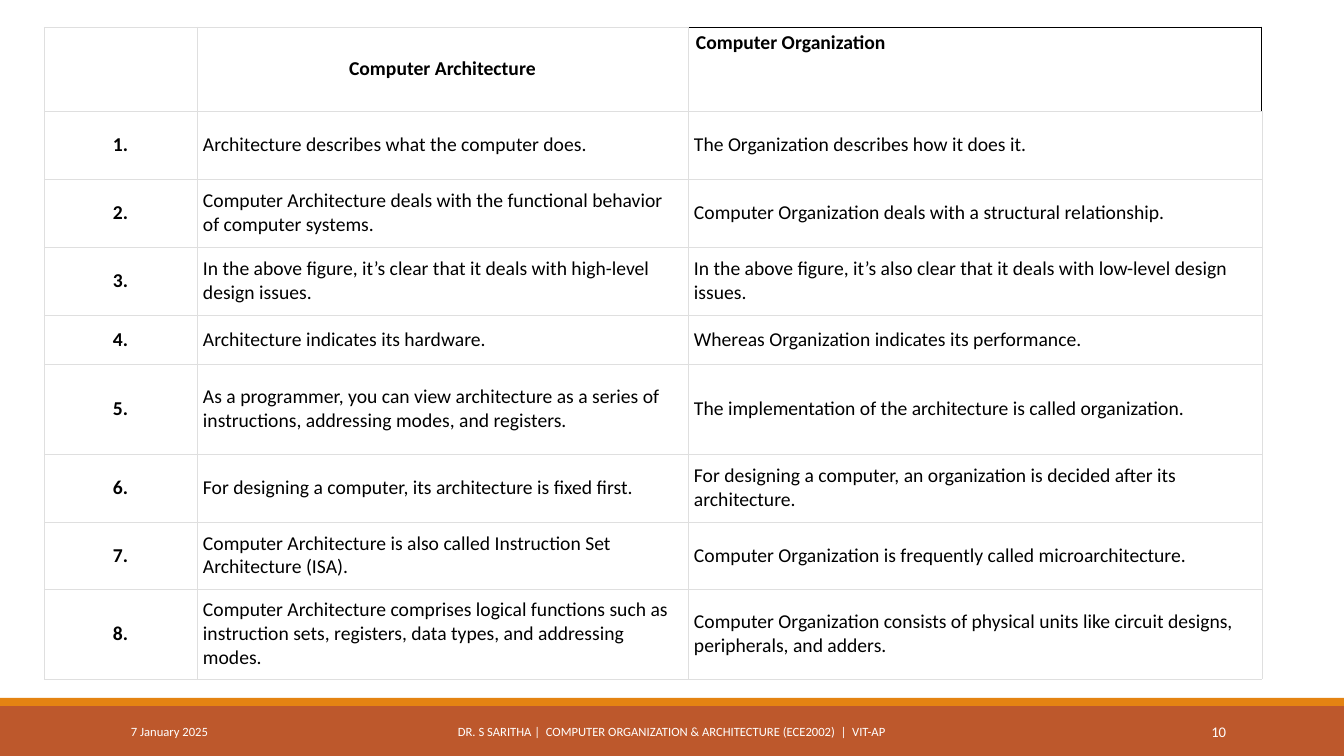
from dataclasses import dataclass

from lxml import etree
from pptx import Presentation
from pptx.dml.color import RGBColor
from pptx.enum.shapes import MSO_SHAPE
from pptx.enum.text import MSO_ANCHOR, PP_ALIGN
from pptx.oxml.ns import qn
from pptx.util import Emu, Pt

RECT = MSO_SHAPE.RECTANGLE
TOP, MIDDLE = MSO_ANCHOR.TOP, MSO_ANCHOR.MIDDLE
LEFT, CENTER, RIGHT = PP_ALIGN.LEFT, PP_ALIGN.CENTER, PP_ALIGN.RIGHT

BLACK = RGBColor(0x00, 0x00, 0x00)
WHITE = RGBColor(0xFF, 0xFF, 0xFF)
GRAY = RGBColor(0xDF, 0xDF, 0xDF)
RUST = RGBColor(0xBD, 0x58, 0x2C)
ORANGE = RGBColor(0xE4, 0x83, 0x12)
FONT = "Calibri"


def px(count: int) -> Emu:
    return Emu(round(count * 914400 / 100.8))


@dataclass
class Band:
    top: int
    height: int
    color: RGBColor


@dataclass
class Label:
    text: str
    left: int
    width: int
    size: float
    align: PP_ALIGN


@dataclass
class Style:
    bold: bool
    align: PP_ALIGN
    anchor: MSO_ANCHOR
    side: int
    edge: int


BANDS = [Band(706, 50, RUST), Band(698, 8, ORANGE)]
LABELS = [
    Label("7 January 2025", 121, 272, 9, LEFT),
    Label("DR. S SARITHA |  COMPUTER ORGANIZATION & ARCHITECTURE (ECE2002)  |  VIT-AP",
          406, 531, 9, CENTER),
    Label("10", 1092, 144, 10.5, RIGHT),
]

HEAD = Style(True, CENTER, MIDDLE, 6, 6)
CORNER = Style(True, LEFT, TOP, 8, 4)
NUMBER = Style(True, CENTER, MIDDLE, 3, 6)
BODY = Style(False, LEFT, MIDDLE, 6, 9)

WIDTHS = [153, 491, 574]
HEIGHTS = [84, 68, 68, 68, 49, 90, 68, 67, 90]
TITLES = ["", "Computer Architecture", "Computer Organization"]
PAIRS = [
    ("Architecture describes what the computer does.",
     "The Organization describes how it does it."),
    ("Computer Architecture deals with the functional behavior of computer systems.",
     "Computer Organization deals with a structural relationship."),
    ("In the above figure, it’s clear that it deals with high-level design issues.",
     "In the above figure, it’s also clear that it deals with low-level design issues."),
    ("Architecture indicates its hardware.",
     "Whereas Organization indicates its performance."),
    ("As a programmer, you can view architecture as a series of instructions, "
     "addressing modes, and registers.",
     "The implementation of the architecture is called organization."),
    ("For designing a computer, its architecture is fixed first.",
     "For designing a computer, an organization is decided after its architecture."),
    ("Computer Architecture is also called Instruction Set Architecture (ISA).",
     "Computer Organization is frequently called microarchitecture."),
    ("Computer Architecture comprises logical functions such as instruction sets, "
     "registers, data types, and addressing modes.",
     "Computer Organization consists of physical units like circuit designs, "
     "peripherals, and adders."),
]


def write(frame, text: str, size: float, color: RGBColor, align: PP_ALIGN,
          bold: bool = False) -> None:
    line = frame.paragraphs[0]
    line.text = text
    line.alignment = align
    for font in [line.font] + [run.font for run in line.runs]:
        font.name = FONT
        font.size = Pt(size)
        font.bold = bold
        font.color.rgb = color


def add_band(slide, band: Band) -> None:
    shape = slide.shapes.add_shape(RECT, 0, px(band.top), px(1344), px(band.height))
    shape.shadow.inherit = False
    shape.fill.solid()
    shape.fill.fore_color.rgb = band.color
    shape.line.fill.background()


def add_label(slide, label: Label) -> None:
    box = slide.shapes.add_textbox(px(label.left), px(712), px(label.width), px(40))
    frame = box.text_frame
    frame.word_wrap = True
    frame.vertical_anchor = MIDDLE
    write(frame, label.text, label.size, WHITE, label.align)


def add_edge(cell, side: str, color: RGBColor, width: float) -> None:
    props = cell._tc.get_or_add_tcPr()
    line = etree.SubElement(props, qn(f"a:ln{side}"), w=str(Pt(width)))
    fill = etree.SubElement(line, qn("a:solidFill"))
    etree.SubElement(fill, qn("a:srgbClr"), val=str(color))


def fill_cell(cell, text: str, style: Style) -> None:
    for side in "LRTB":
        if style is CORNER and side in "RT":
            add_edge(cell, side, BLACK, 0.75)
        else:
            add_edge(cell, side, GRAY, 0.18)
    if style is CORNER:
        cell.fill.background()
    else:
        cell.fill.solid()
        cell.fill.fore_color.rgb = WHITE
    cell.margin_left = cell.margin_right = px(style.side)
    cell.margin_top = cell.margin_bottom = px(style.edge)
    cell.vertical_anchor = style.anchor
    write(cell.text_frame, text, 14, BLACK, style.align, style.bold)


def add_grid(slide) -> None:
    rows = [TITLES] + [[f"{num}.", *pair] for num, pair in enumerate(PAIRS, 1)]
    frame = slide.shapes.add_table(len(rows), len(WIDTHS), px(44), px(27),
                                   px(sum(WIDTHS)), px(sum(HEIGHTS)))
    table = frame.table
    table.first_row = False
    table.horz_banding = False
    for col, width in zip(table.columns, WIDTHS):
        col.width = px(width)
    for row, height in zip(table.rows, HEIGHTS):
        row.height = px(height)
    for at, texts in enumerate(rows):
        styles = [NUMBER, BODY, BODY] if at else [HEAD, HEAD, CORNER]
        for col, (text, style) in enumerate(zip(texts, styles)):
            fill_cell(table.cell(at, col), text, style)


def main() -> None:
    deck = Presentation()
    deck.slide_width, deck.slide_height = px(1344), px(756)
    slide = deck.slides.add_slide(deck.slide_layouts[6])
    for band in BANDS:
        add_band(slide, band)
    for label in LABELS:
        add_label(slide, label)
    add_grid(slide)
    deck.save("out.pptx")


if __name__ == "__main__":
    main()
